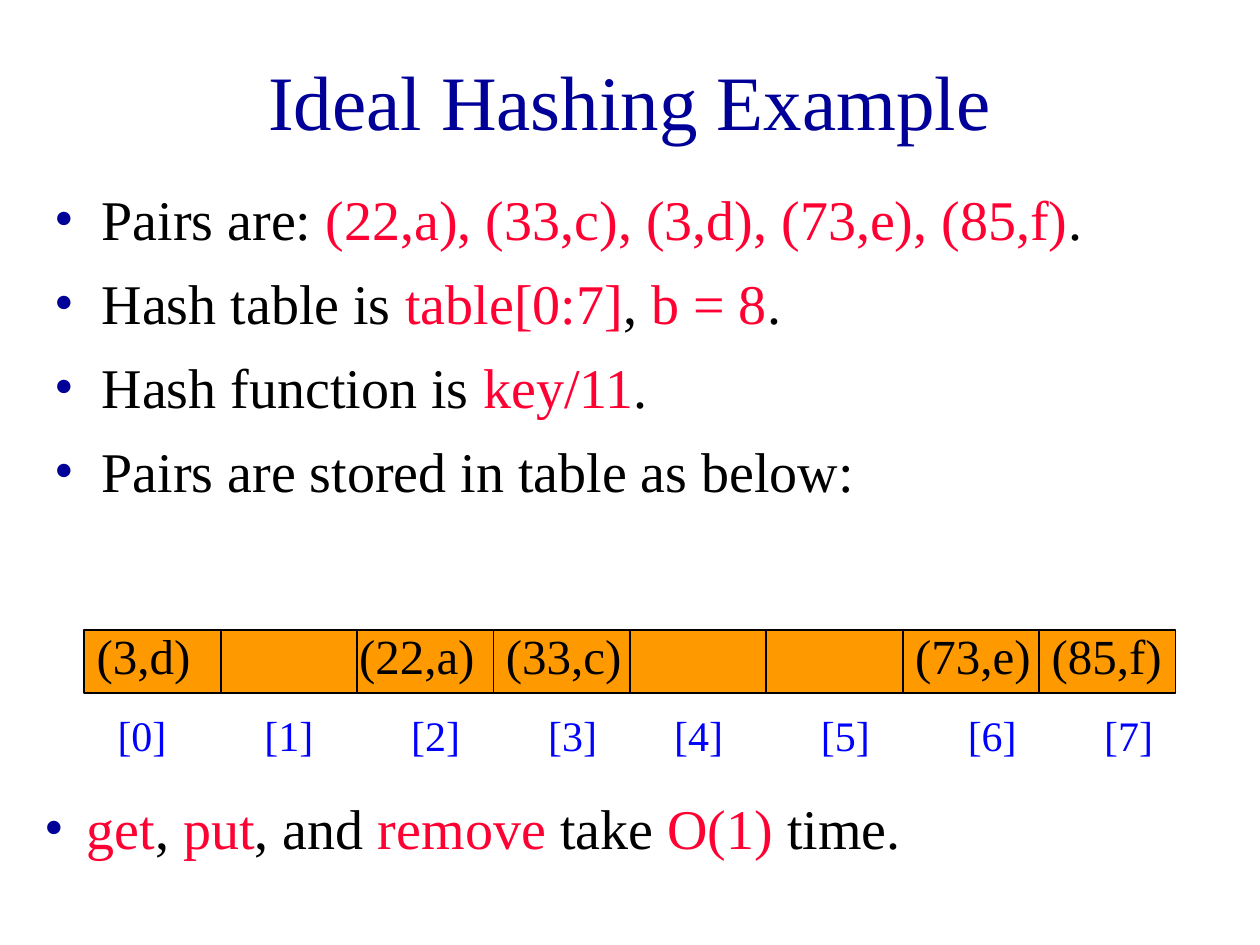
from dataclasses import dataclass

from lxml import etree
from pptx import Presentation
from pptx.dml.color import RGBColor
from pptx.enum.shapes import MSO_SHAPE
from pptx.enum.text import MSO_ANCHOR, PP_ALIGN
from pptx.oxml.ns import qn
from pptx.util import Cm, Pt

RECT = MSO_SHAPE.RECTANGLE
TOP, MIDDLE = MSO_ANCHOR.TOP, MSO_ANCHOR.MIDDLE
LEFT, CENTER = PP_ALIGN.LEFT, PP_ALIGN.CENTER


@dataclass(frozen=True)
class Theme:
    font: str = "Times New Roman"
    navy: str = "000099"
    black: str = "000000"
    red: str = "FF0033"
    blue: str = "0000FF"
    orange: str = "FF9900"
    title_size: int = 44
    body_size: int = 32
    cell_size: int = 28
    index_size: int = 24


THEME = Theme()

# Hash table row: bucket number -> stored pair
BUCKETS = 8
PAIRS = {0: "(3,d)", 2: "(22,a)", 3: "(33,c)", 6: "(73,e)", 7: "(85,f)"}
ROW_LEFT, ROW_TOP, CELL_W, CELL_H = 1.7, 12.7, 2.75, 1.27
PAIR_SHIFT = {2: -0.21}  # this pair sits at its bucket's left edge
INDEX_LEFTS = [2.12, 5.08, 8.04, 10.8, 13.34, 16.3, 19.26, 22.01]

# Bullets: (text, highlighted) runs
POINTS = [
    [("Pairs are: ", False), ("(22,a), (33,c), (3,d), (73,e), (85,f)", True), (".", False)],
    [("Hash table is", False), (" table[0:7]", True), (", ", False),
     ("b = 8", True), (".", False)],
    [("Hash function is", False), (" key/11", True), (".", False)],
    [("Pairs are stored in table as below:", False)],
]
COST = [
    [("get", True), (", ", False), ("put", True), (", and ", False),
     ("remove", True), (" take ", False), ("O(1) ", True), ("time.", False)],
]


def add_run(p, text, size, color):
    r = p.add_run()
    r.text = text
    r.font.name = THEME.font
    r.font.size = Pt(size)
    r.font.color.rgb = RGBColor.from_string(color)


def add_frame(s, left, top, width, height, anchor=TOP):
    tf = s.shapes.add_textbox(Cm(left), Cm(top), Cm(width), Cm(height)).text_frame
    tf.word_wrap = True
    tf.vertical_anchor = anchor
    return tf


def add_label(s, box, text, size, color, align=LEFT, anchor=TOP):
    p = add_frame(s, *box, anchor).paragraphs[0]
    p.alignment = align
    add_run(p, text, size, color)


def set_bullet(p, indent):
    pPr = p._p.get_or_add_pPr()
    pPr.set("marL", str(Cm(indent)))
    pPr.set("indent", str(-Cm(indent)))
    color = etree.SubElement(pPr, qn("a:buClr"))
    etree.SubElement(color, qn("a:srgbClr"), val=THEME.navy)
    etree.SubElement(pPr, qn("a:buFont"), typeface=THEME.font)
    etree.SubElement(pPr, qn("a:buChar"), char="•")


def add_bullets(s, box, points, indent):
    tf = add_frame(s, *box)
    for i, runs in enumerate(points):
        p = tf.add_paragraph() if i else tf.paragraphs[0]
        set_bullet(p, indent)
        if i:
            p.space_before = Pt(9.6)
        for text, highlighted in runs:
            add_run(p, text, THEME.body_size, THEME.red if highlighted else THEME.black)


def add_cell(s, left):
    sp = s.shapes.add_shape(RECT, Cm(left), Cm(ROW_TOP), Cm(CELL_W), Cm(CELL_H))
    sp.shadow.inherit = False
    sp.fill.solid()
    sp.fill.fore_color.rgb = RGBColor.from_string(THEME.orange)
    sp.line.color.rgb = RGBColor.from_string(THEME.black)
    sp.line.width = Pt(1)


def add_hash_table(s):
    lefts = [ROW_LEFT + i * CELL_W for i in range(BUCKETS)]
    for left in lefts:
        add_cell(s, left)
    for i, left in enumerate(INDEX_LEFTS):
        add_label(s, (left, 14.18, 1.9, 1.27), f"[{i}]", THEME.index_size, THEME.blue)
    for i, pair in PAIRS.items():
        left = lefts[i] + PAIR_SHIFT.get(i, 0)
        add_label(s, (left, 12.49, 3.39, 1.45), pair, THEME.cell_size, THEME.black)


def main():
    prs = Presentation()
    prs.slide_width, prs.slide_height = Cm(25.4), Cm(19.05)
    s = prs.slides.add_slide(prs.slide_layouts[6])

    # Title
    add_label(s, (1.9, 0.42, 21.6, 3.18), "Ideal Hashing Example",
              THEME.title_size, THEME.navy, CENTER, MIDDLE)
    # Example and its table
    add_bullets(s, (0.85, 3.6, 23.7, 7.2), POINTS, indent=0.95)
    add_hash_table(s)
    # Cost of the operations
    add_bullets(s, (0.64, 15.88, 24.76, 1.62), COST, indent=0.86)

    prs.save("out.pptx")


if __name__ == "__main__":
    main()
